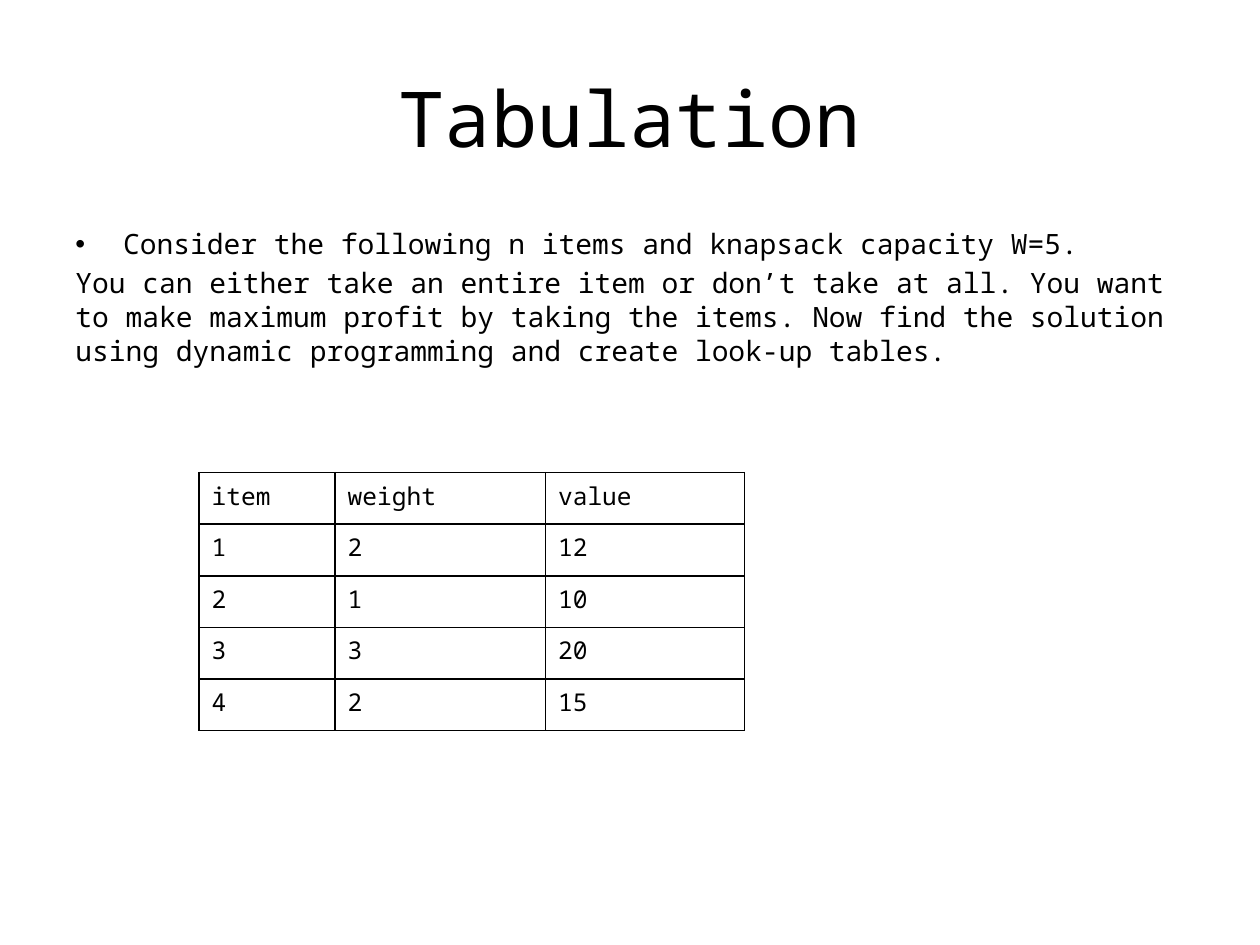
import pptx
import pptx.dml.color
import pptx.enum.text
import pptx.oxml.ns
import pptx.util
from lxml import etree
from pptx.util import Inches

FONT = "Noto Sans Mono"
BLACK = pptx.dml.color.RGBColor(0x00, 0x00, 0x00)

INTRODUCTION = "Consider the following n items and knapsack capacity W=5."
TASK = (
    "You can either take an entire item or don’t take at all. You want to make "
    "maximum profit by taking the items. Now find the solution using dynamic "
    "programming and create look-up tables."
)
ITEMS = [
    ("item", "weight", "value"),
    ("1", "2", "12"),
    ("2", "1", "10"),
    ("3", "3", "20"),
    ("4", "2", "15"),
]
COLUMN_WIDTHS = [1.08, 1.67, 1.58]
ROW_HEIGHT = 0.41


def add_child(parent, tag, **attributes):
    return etree.SubElement(parent, pptx.oxml.ns.qn(tag), attributes)


def format_runs(paragraph, size):
    for run in paragraph.runs:
        run.font.name = FONT
        run.font.size = pptx.util.Pt(size)
        run.font.color.rgb = BLACK


def add_text(slide, left, top, width, height, lines, size):
    """Add a wrapping text box with one paragraph per line and return its frame."""
    box = slide.shapes.add_textbox(
        Inches(left), Inches(top), Inches(width), Inches(height)
    )
    text_frame = box.text_frame
    text_frame.word_wrap = True
    text_frame.text = "\n".join(lines)
    for paragraph in text_frame.paragraphs:
        format_runs(paragraph, size)
    return text_frame


def add_title(slide, text):
    text_frame = add_text(slide, 0.5, 0.3, 9, 1.25, [text], 44)
    text_frame.vertical_anchor = pptx.enum.text.MSO_ANCHOR.MIDDLE
    text_frame.paragraphs[0].alignment = pptx.enum.text.PP_ALIGN.CENTER


def add_bullet(paragraph):
    properties = paragraph._p.get_or_add_pPr()
    properties.set("marL", str(Inches(0.38)))
    properties.set("indent", str(Inches(-0.38)))
    add_child(properties, "a:buFont", typeface="Arial")
    add_child(properties, "a:buChar", char="•")


def add_body(slide):
    text_frame = add_text(slide, 0.5, 1.75, 9, 4.95, [INTRODUCTION, TASK], 16)
    for paragraph in text_frame.paragraphs:
        paragraph.space_before = pptx.util.Pt(3.2)
    add_bullet(text_frame.paragraphs[0])


def add_borders(cell):
    properties = cell._tc.get_or_add_tcPr()
    for side in ("a:lnL", "a:lnR", "a:lnT", "a:lnB"):
        line = add_child(properties, side, w=str(pptx.util.Pt(1)))
        fill = add_child(line, "a:solidFill")
        add_child(fill, "a:srgbClr", val=str(BLACK))


def add_item_table(slide):
    table = slide.shapes.add_table(
        len(ITEMS), len(COLUMN_WIDTHS), Inches(1.58), Inches(3.75),
        Inches(sum(COLUMN_WIDTHS)), Inches(ROW_HEIGHT * len(ITEMS)),
    ).table
    table.first_row = False
    table.horz_banding = False
    for column, width in zip(table.columns, COLUMN_WIDTHS):
        column.width = Inches(width)
    for row, values in zip(table.rows, ITEMS):
        row.height = Inches(ROW_HEIGHT)
        for cell, value in zip(row.cells, values):
            cell.text_frame.text = value
            format_runs(cell.text_frame.paragraphs[0], 14)
            add_borders(cell)
            cell.fill.background()


def main():
    presentation = pptx.Presentation()
    presentation.slide_width = Inches(10)
    presentation.slide_height = Inches(7.5)
    slide = presentation.slides.add_slide(presentation.slide_layouts[6])
    add_title(slide, "Tabulation")
    add_body(slide)
    add_item_table(slide)
    presentation.save("out.pptx")


if __name__ == "__main__":
    main()
